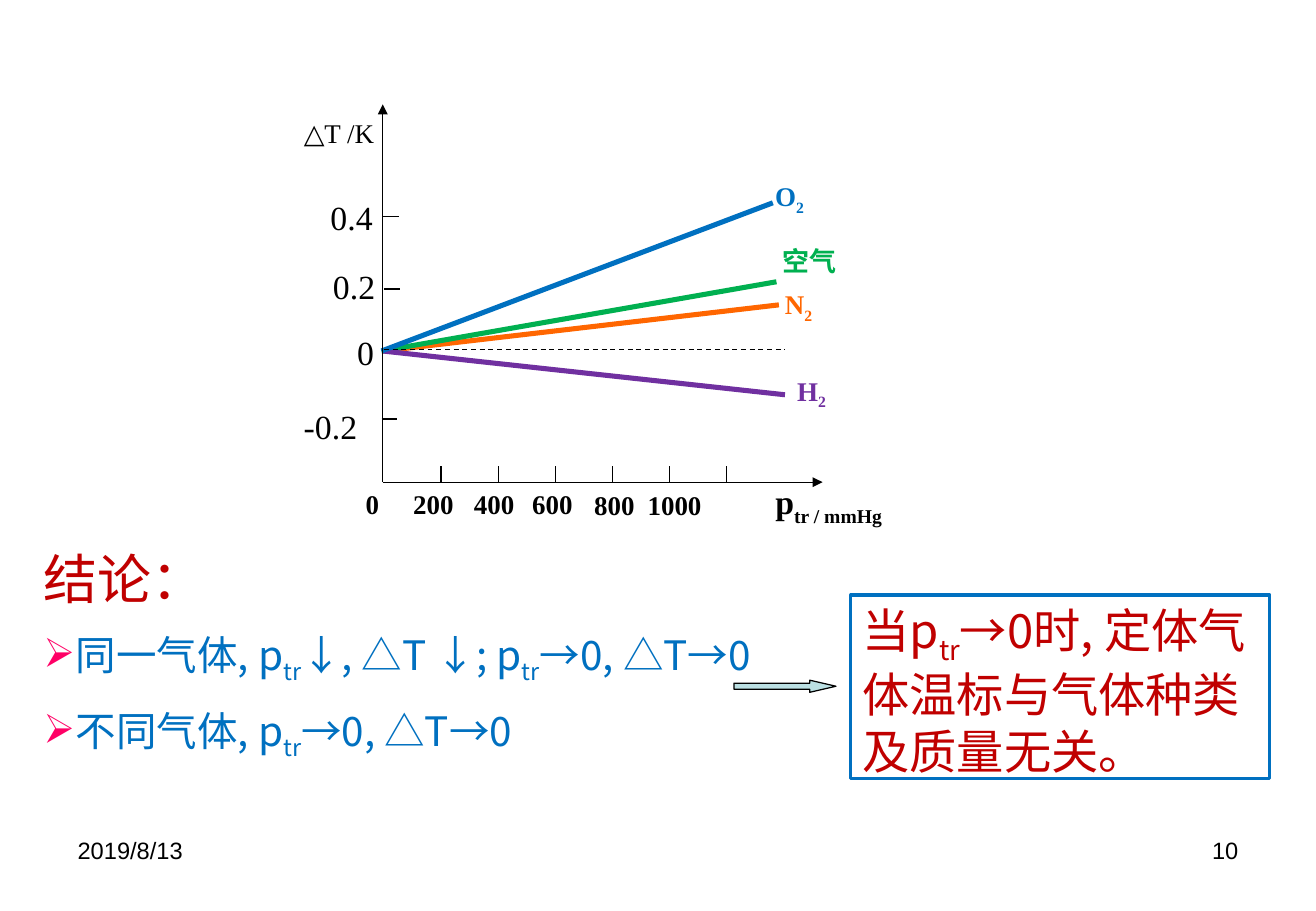
from lxml import etree
from pptx import Presentation
from pptx.dml.color import RGBColor
from pptx.enum import dml, shapes, text
from pptx.oxml.ns import qn
from pptx.util import Inches, Pt

COLORS = {"black": "000000", "red": "C00000", "blue": "0070C0", "green": "00B050",
          "orange": "FF6600", "purple": "7030A0", "pink": "FF0066", "pale": "BBE0E3"}
SERIF, HAN, SANS = "Times New Roman", "Noto Sans CJK SC", "Arial"

# Content: underscores enclose a subscript
GASES = [  # label, colour, line start x, line end, label position
    ("N_2_", "orange", 3.15, (6.41, 2.51), (6.46, 2.37)),
    ("空气", "green", 3.14, (6.39, 2.32), (6.44, 2.01)),
    ("H_2_", "purple", 3.15, (6.46, 3.25), (6.56, 3.08)),
    ("O_2_", "blue", 3.14, (6.36, 1.67), (6.38, 1.48)),
]
PRESSURES = [("0", 3.01, 4.01), ("200", 3.4, 4.01), ("400", 3.9, 4.01),
             ("600", 4.38, 4.01), ("800", 4.89, 4.02), ("1000", 5.33, 4.02)]
TEMPERATURES = [("0.4", 2.72, 1.62), ("0.2", 2.74, 2.19),
                ("0", 2.94, 2.73), ("-0.2", 2.5, 3.34)]
TEMPERATURE_TICKS = [(3.15, 1.78), (3.16, 2.38), (3.14, 3.45)]
CONCLUSIONS = ["同一气体, p_tr_↓, △T ↓; p_tr_→0, △T→0", "不同气体, p_tr_→0, △T→0"]
SUMMARY = "当p_tr_→0时, 定体气体温标与气体种类及质量无关。"
AXIS_X, AXIS_Y, ZERO_Y = 3.15, 3.97, 2.89
TICK_GAP, TICK_SIZE = 0.47, 0.13

prs = Presentation()
prs.slide_width, prs.slide_height = Inches(10.83), Inches(7.5)
slide = prs.slides.add_slide(prs.slide_layouts[6])


def rgb(name):
    return RGBColor.from_string(COLORS[name])


def write(paragraph, words, size, color, font=SERIF, bold=False,
          align=text.PP_ALIGN.LEFT, spaced=False, bullet=None):
    paragraph.alignment = align
    props = paragraph._p.get_or_add_pPr()
    if spaced:
        before = etree.SubElement(props, qn("a:spcBef"))
        etree.SubElement(before, qn("a:spcPct"), val="50000")
    if bullet:
        tint = etree.SubElement(props, qn("a:buClr"))
        etree.SubElement(tint, qn("a:srgbClr"), val=COLORS["pink"])
        etree.SubElement(props, qn("a:buChar"), char=bullet)
    style = paragraph.font
    style.name, style.size, style.bold = font, Pt(size), bold
    style.color.rgb = rgb(color)
    etree.SubElement(props.find(qn("a:defRPr")), qn("a:ea"), typeface=HAN)
    for index, part in enumerate(words.split("_")):
        if part:
            run = paragraph.add_run()
            run.text = part
            if index % 2:
                run._r.get_or_add_rPr().set("baseline", "-25000")


def text_frame(left, top, width, height):
    box = slide.shapes.add_textbox(*map(Inches, (left, top, width, height)))
    box.text_frame.word_wrap = True
    return box.text_frame


def label(words, left, top, width=0.6, size=16, color="black", bold=True):
    frame = text_frame(left, top, width, 0.31)
    frame.margin_left = frame.margin_top = frame.margin_right = frame.margin_bottom = 0
    write(frame.paragraphs[0], words, size, color, bold=bold, align=text.PP_ALIGN.JUSTIFY)


def line(start, end, color="black", width=0.75, arrow=False, dashed=False):
    stroke = slide.shapes.add_connector(
        shapes.MSO_CONNECTOR.STRAIGHT, *map(Inches, (*start, *end)))
    stroke.line.color.rgb = rgb(color)
    stroke.line.width = Pt(width)
    if dashed:
        stroke.line.dash_style = dml.MSO_LINE.DASH
    if arrow:
        etree.SubElement(stroke.line._get_or_add_ln(), qn("a:tailEnd"), type="triangle")
    etree.SubElement(stroke._element.spPr, qn("a:effectLst"))


def outlined(kind, bounds, color, width):
    shape = slide.shapes.add_shape(kind, *map(Inches, bounds))
    shape.shadow.inherit = False
    shape.line.color.rgb = rgb(color)
    shape.line.width = Pt(width)
    return shape


# Date and slide number
write(text_frame(0.54, 6.83, 2.53, 0.52).paragraphs[0], "2019/8/13", 14, "black", SANS)
write(text_frame(7.76, 6.83, 2.53, 0.52).paragraphs[0], "10", 14, "black", SANS,
      align=text.PP_ALIGN.RIGHT)

# Conclusions
conclusion = text_frame(0.26, 4.44, 6.37, 1.85)
write(conclusion.paragraphs[0], "结论：", 32, "red", HAN, spaced=True)
for words in CONCLUSIONS:
    write(conclusion.add_paragraph(), words, 24, "blue", HAN, spaced=True, bullet="➢")

# Arrow to the summary box
arrow = outlined(shapes.MSO_SHAPE.RIGHT_ARROW, (6.04, 5.6, 0.84, 0.1), "black", 0.75)
arrow.adjustments[1] = 2.165
arrow.fill.solid()
arrow.fill.fore_color.rgb = rgb("pale")

summary = outlined(shapes.MSO_SHAPE.RECTANGLE, (7, 4.9, 3.45, 1.51), "blue", 2)
summary.fill.background()
summary.text_frame.word_wrap = True
summary.text_frame.vertical_anchor = text.MSO_ANCHOR.TOP
write(summary.text_frame.paragraphs[0], SUMMARY, 28, "red", HAN, spaced=True)

# Gas lines
for gas, color, start_x, end, place in GASES:
    line((start_x, ZERO_Y), end, color, 3)
    label(gas, *place, color=color)

# Axes, zero line and ticks
line((AXIS_X, AXIS_Y), (6.77, AXIS_Y), arrow=True)
line((AXIS_X, AXIS_Y), (AXIS_X, 0.86), arrow=True)
line((3.16, 2.88), (6.46, 2.88), dashed=True)
for step in range(1, 7):
    x = 3.16 + step * TICK_GAP
    line((x, AXIS_Y - TICK_SIZE), (x, AXIS_Y))
for x, y in TEMPERATURE_TICKS:
    line((x, y), (x + TICK_SIZE, y))

# Axis labels
for words, left, top in PRESSURES:
    label(words, left, top)
for words, left, top in TEMPERATURES:
    label(words, left, top, size=20, bold=False)
label("p_tr / mmHg_", 6.38, 3.96, width=1.22, size=20)
label("△T /K", 2.5, 0.96, width=1.08, bold=False)

prs.save("out.pptx")
